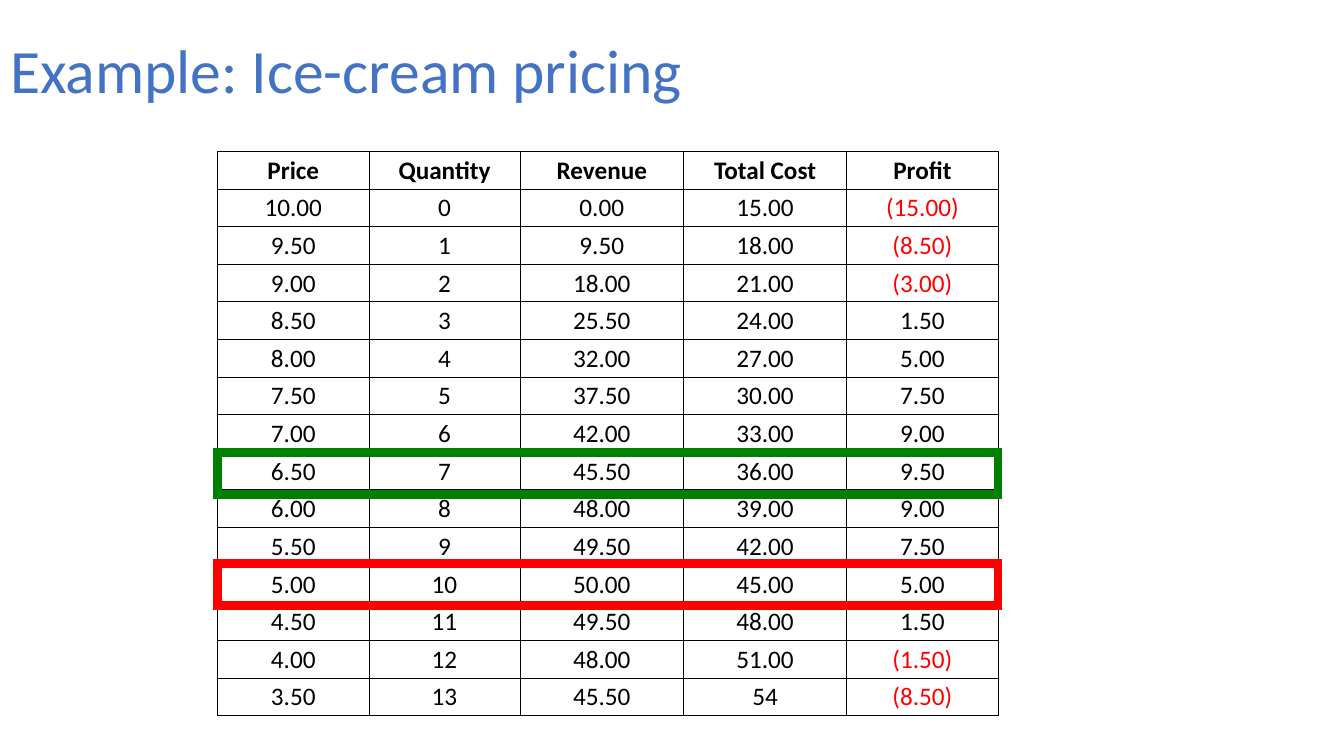
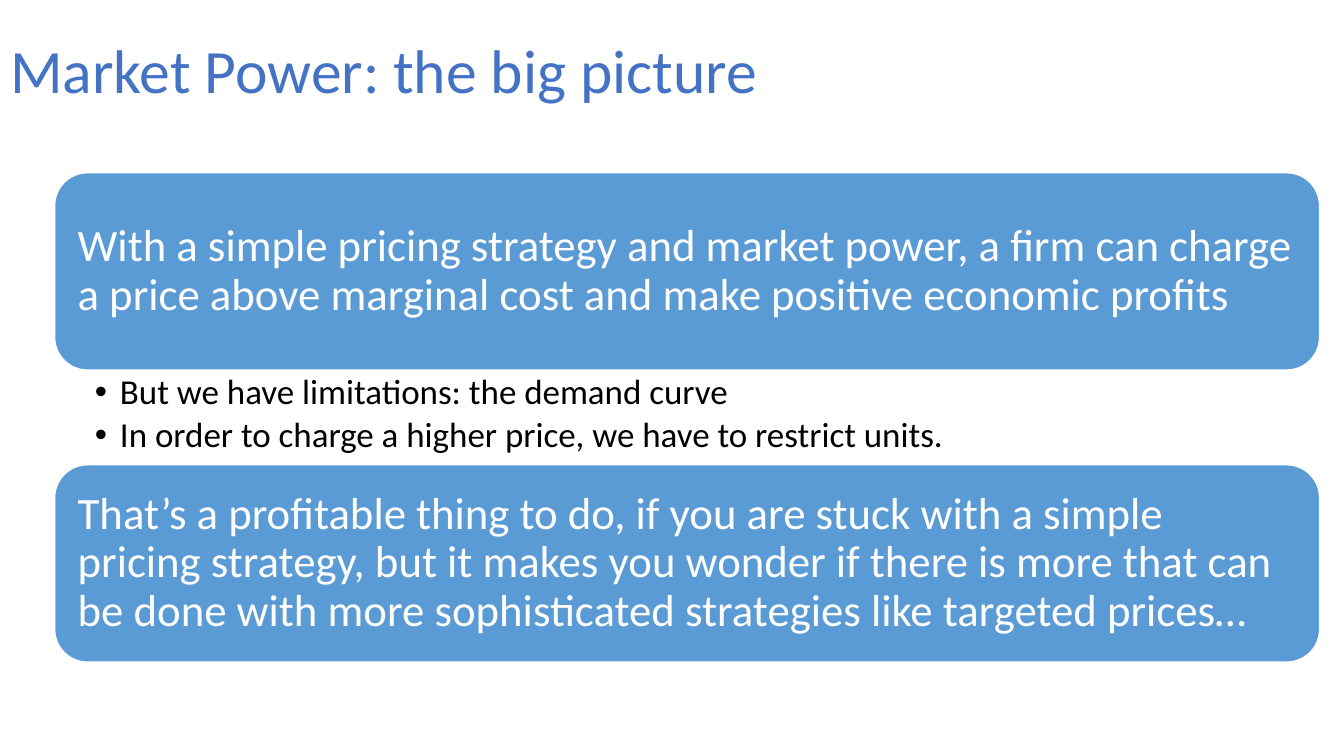
import pptx
import pptx.dml.color
import pptx.enum.shapes
import pptx.enum.text
import pptx.util
from lxml import etree
from pptx.oxml.ns import qn

Pt = pptx.util.Pt
RGBColor = pptx.dml.color.RGBColor
Shape = pptx.enum.shapes.MSO_SHAPE
Align = pptx.enum.text.PP_ALIGN
Anchor = pptx.enum.text.MSO_ANCHOR

FONT = "Calibri"
TITLE_BLUE = RGBColor(0x44, 0x72, 0xC4)
PANEL_BLUE = RGBColor(0x5B, 0x9B, 0xD5)
BLACK = RGBColor(0, 0, 0)
WHITE = RGBColor(0xFF, 0xFF, 0xFF)
RED = RGBColor(0xFF, 0, 0)
GREEN = RGBColor(0, 0x80, 0)

PRICING = [
    ("Price", "Quantity", "Revenue", "Total Cost", "Profit"),
    ("10.00", "0", "0.00", "15.00", "(15.00)"),
    ("9.50", "1", "9.50", "18.00", "(8.50)"),
    ("9.00", "2", "18.00", "21.00", "(3.00)"),
    ("8.50", "3", "25.50", "24.00", "1.50"),
    ("8.00", "4", "32.00", "27.00", "5.00"),
    ("7.50", "5", "37.50", "30.00", "7.50"),
    ("7.00", "6", "42.00", "33.00", "9.00"),
    ("6.50", "7", "45.50", "36.00", "9.50"),
    ("6.00", "8", "48.00", "39.00", "9.00"),
    ("5.50", "9", "49.50", "42.00", "7.50"),
    ("5.00", "10", "50.00", "45.00", "5.00"),
    ("4.50", "11", "49.50", "48.00", "1.50"),
    ("4.00", "12", "48.00", "51.00", "(1.50)"),
    ("3.50", "13", "45.50", "54", "(8.50)"),
]
COLUMN_WIDTHS = (108, 108, 116.7, 116.7, 108)
TABLE_LEFT, TABLE_TOP, ROW_HEIGHT = 155.5, 108, 26.88
PANEL_LEFT, PANEL_WIDTH, PANEL_HEIGHT = 39, 903.6, 141


class Deck:
    def __init__(self):
        self.prs = pptx.Presentation()
        self.prs.slide_width = Pt(960)
        self.prs.slide_height = Pt(540)
        self.s = None

    def format(self, p, size, color, bold=False, align=Align.LEFT, spacing=0.9):
        p.alignment = align
        p.line_spacing = spacing
        for r in p.runs:
            r.font.name = FONT
            r.font.size = Pt(size)
            r.font.bold = bold
            r.font.color.rgb = color

    def frame(self, tf, left, top, right, bottom, anchor):
        tf.word_wrap = True
        tf.vertical_anchor = anchor
        tf.margin_left, tf.margin_top = Pt(left), Pt(top)
        tf.margin_right, tf.margin_bottom = Pt(right), Pt(bottom)

    def slide(self, title):
        self.s = self.prs.slides.add_slide(self.prs.slide_layouts[5])
        sp = self.s.shapes.title
        sp.left, sp.top, sp.width, sp.height = Pt(0), Pt(0), Pt(828), Pt(104.4)
        tf = sp.text_frame
        tf.text = title
        tf.auto_size = pptx.enum.text.MSO_AUTO_SIZE.NONE
        self.frame(tf, 7.2, 3.6, 7.2, 3.6, Anchor.MIDDLE)
        self.format(tf.paragraphs[0], 44, TITLE_BLUE)

    def border(self, cell):
        tc_pr = cell._tc.get_or_add_tcPr()
        for side in "LRTB":
            ln = etree.SubElement(tc_pr, qn("a:ln" + side), w=str(Pt(0.5)))
            fill = etree.SubElement(ln, qn("a:solidFill"))
            etree.SubElement(fill, qn("a:srgbClr"), val=str(BLACK))

    def table(self, left, top, widths, row_height, rows):
        table = self.s.shapes.add_table(
            len(rows), len(widths), Pt(left), Pt(top),
            Pt(sum(widths)), Pt(row_height * len(rows))).table
        table.first_row = table.horz_banding = False
        for column, width in zip(table.columns, widths):
            column.width = Pt(width)
        for i, values in enumerate(rows):
            table.rows[i].height = Pt(row_height)
            for j, value in enumerate(values):
                cell = table.cell(i, j)
                cell.text = value
                self.border(cell)
                cell.fill.background()
                cell.vertical_anchor = Anchor.MIDDLE
                cell.margin_left = cell.margin_right = cell.margin_top = Pt(0.75)
                cell.margin_bottom = Pt(0)
                color = RED if value.startswith("(") else BLACK
                self.format(cell.text_frame.paragraphs[0], 18, color,
                            i == 0, Align.CENTER, 1.0)

    def shape(self, kind, left, top, width, height, line, weight):
        sp = self.s.shapes.add_shape(kind, Pt(left), Pt(top), Pt(width), Pt(height))
        sp.shadow.inherit = False
        sp.line.color.rgb = line
        sp.line.width = Pt(weight)
        return sp

    def highlight(self, left, top, width, color):
        sp = self.shape(Shape.RECTANGLE, left, top, width, 30, color, 6)
        sp.fill.background()
        etree.SubElement(sp.line._get_or_add_ln(), qn("a:miter"), lim="800000")

    def panel(self, top, text):
        sp = self.shape(Shape.ROUNDED_RECTANGLE, PANEL_LEFT, top,
                        PANEL_WIDTH, PANEL_HEIGHT, WHITE, 1)
        sp.fill.solid()
        sp.fill.fore_color.rgb = PANEL_BLUE
        tf = sp.text_frame
        tf.text = text
        self.frame(tf, 9.6, 9.6, 9.6, 9.6, Anchor.MIDDLE)
        self.format(tf.paragraphs[0], 32, WHITE)

    def bullets(self, top, height, items):
        sp = self.s.shapes.add_textbox(Pt(PANEL_LEFT), Pt(top),
                                       Pt(PANEL_WIDTH), Pt(height))
        tf = sp.text_frame
        tf.text = "\n".join(items)
        self.frame(tf, 28.7, 3, 18, 3, Anchor.TOP)
        for p in tf.paragraphs:
            p_pr = p._p.get_or_add_pPr()
            p_pr.set("marL", str(Pt(18)))
            p_pr.set("indent", str(Pt(-18)))
            etree.SubElement(p_pr, qn("a:buFont"), typeface="Arial")
            etree.SubElement(p_pr, qn("a:buChar"), char="•")
            p.space_after = Pt(4)
            self.format(p, 25, BLACK)


def main():
    deck = Deck()

    deck.slide("Example: Ice-cream pricing")
    deck.table(TABLE_LEFT, TABLE_TOP, COLUMN_WIDTHS, ROW_HEIGHT, PRICING)
    for top, color in ((323.3, GREEN), (402.5, RED)):
        deck.highlight(TABLE_LEFT, top, sum(COLUMN_WIDTHS), color)

    deck.slide("Market Power: the big picture")
    deck.panel(123.4, "With a simple pricing strategy and market power, a firm can "
                      "charge a price above marginal cost and make positive "
                      "economic profits")
    deck.bullets(264.4, 67.6, [
        "But we have limitations: the demand curve",
        "In order to charge a higher price, we have to restrict units.",
    ])
    deck.panel(332, "That’s a profitable thing to do, if you are stuck with a simple "
                    "pricing strategy, but it makes you wonder if there is more that "
                    "can be done with more sophisticated strategies like targeted "
                    "prices…")

    deck.prs.save("out.pptx")


if __name__ == "__main__":
    main()
